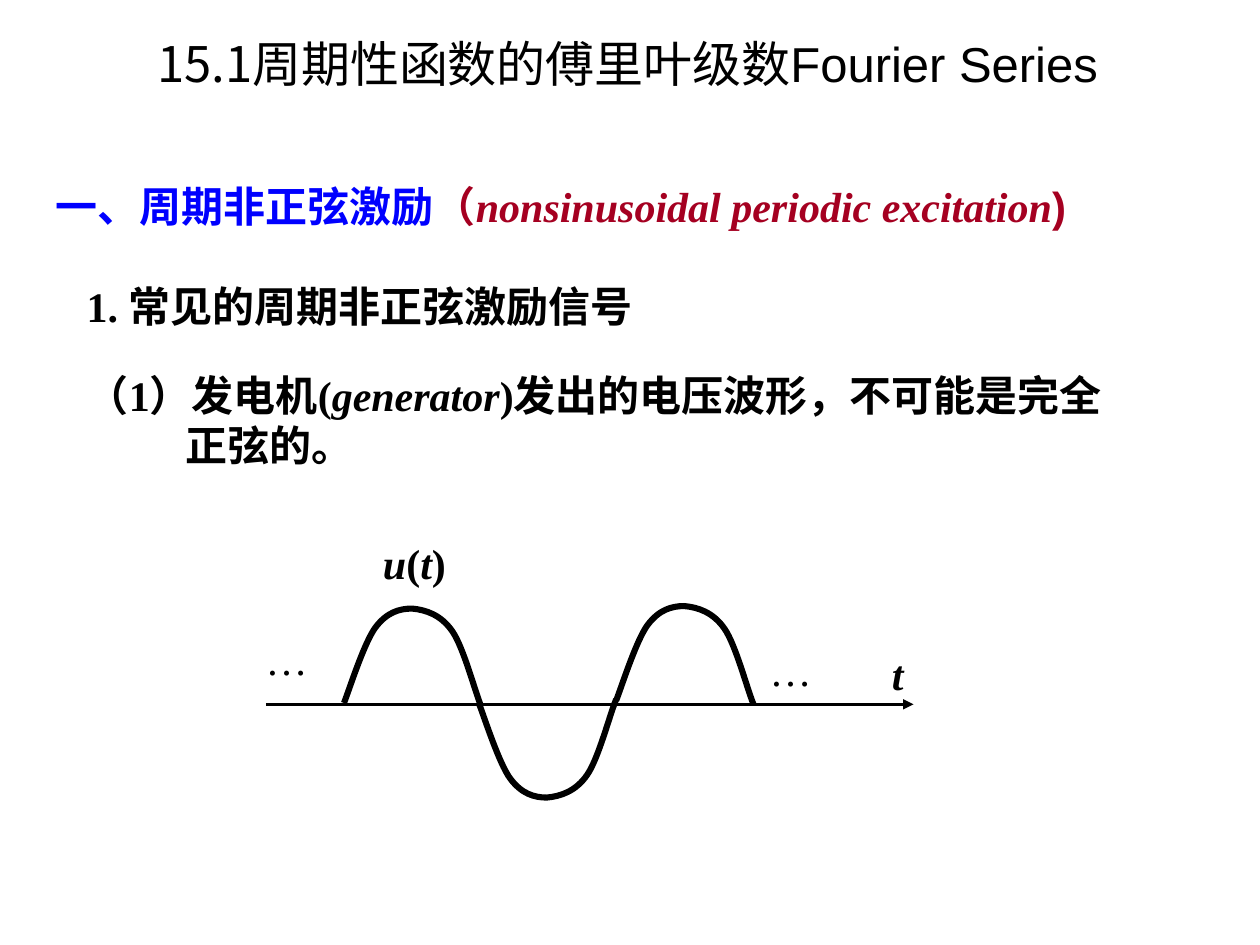
from dataclasses import dataclass

import pptx
import pptx.dml.color
import pptx.enum.shapes
import pptx.enum.text
import pptx.oxml
import pptx.oxml.ns
import pptx.util
from pptx.util import Inches

COLORS = {"black": "000000", "blue": "0000FF", "red": "A50021"}
SERIF = "Times New Roman"
SANS = "Arial"
CHINESE = "Noto Sans CJK SC"
ALIGN = pptx.enum.text.PP_ALIGN
ANCHOR = pptx.enum.text.MSO_ANCHOR
HALF_WAVE = [
    (0, 0), (0.04, 0.1), (0.16, 0.48), (0.25, 0.6),
    (0.34, 0.72), (0.44, 0.75), (0.54, 0.75),
    (0.65, 0.74), (0.77, 0.7), (0.86, 0.57),
    (0.95, 0.44), (1.04, 0.09), (1.09, -0.03),
]


@dataclass
class Run:
    text: str
    bold: bool = True
    italic: bool = False
    font: str = SERIF
    color: str = "black"
    size: float = 24


@dataclass
class Arc:
    left: float
    base: float
    direction: int


def color_of(name: str) -> pptx.dml.color.RGBColor:
    return pptx.dml.color.RGBColor.from_string(COLORS[name])


def new_element(tag: str, attributes: str = ""):
    return pptx.oxml.parse_xml(f'<a:{tag} {pptx.oxml.ns.nsdecls("a")} {attributes}/>')


def add_text(slide, runs: list[Run], left: float, top: float, width: float,
             height: float = 0.5, align=ALIGN.LEFT, anchor=ANCHOR.TOP,
             wrap: bool = True, hanging: float = 0, line_height: float | None = 28.8) -> None:
    shape = slide.shapes.add_textbox(Inches(left), Inches(top), Inches(width), Inches(height))
    frame = shape.text_frame
    frame.word_wrap = wrap
    frame.vertical_anchor = anchor
    paragraph = frame.paragraphs[0]
    paragraph.alignment = align
    if line_height:
        paragraph.line_spacing = pptx.util.Pt(line_height)
    if hanging:
        properties = paragraph._p.get_or_add_pPr()
        properties.set("marL", str(Inches(hanging)))
        properties.set("indent", str(-Inches(hanging)))
    for item in runs:
        run = paragraph.add_run()
        run.text = item.text
        font = run.font
        font.name = item.font
        font.size = pptx.util.Pt(item.size)
        font.bold = item.bold
        font.italic = item.italic
        font.color.rgb = color_of(item.color)
        run._r.get_or_add_rPr().append(new_element("ea", f'typeface="{CHINESE}"'))


def curve_segments(shape) -> None:
    segments = list(shape._element.iter(pptx.oxml.ns.qn("a:lnTo")))
    for start in range(0, len(segments), 3):
        curve = new_element("cubicBezTo")
        segments[start].addprevious(curve)
        for segment in segments[start:start + 3]:
            curve.append(segment[0])
            segment.getparent().remove(segment)


def add_arc(slide, arc: Arc) -> None:
    points = [
        (Inches(arc.left + x), Inches(arc.base - arc.direction * y))
        for x, y in HALF_WAVE
    ]
    builder = slide.shapes.build_freeform(*points[0])
    builder.add_line_segments(points[1:], close=False)
    shape = builder.convert_to_shape()
    curve_segments(shape)
    shape.shadow.inherit = False
    shape.fill.background()
    shape.line.color.rgb = color_of("black")
    shape.line.width = pptx.util.Pt(3.5)


def add_axis(slide, left: float, right: float, y: float) -> None:
    axis = slide.shapes.add_connector(
        pptx.enum.shapes.MSO_CONNECTOR.STRAIGHT,
        Inches(left), Inches(y), Inches(right), Inches(y),
    )
    axis.line.color.rgb = color_of("black")
    axis.line.width = pptx.util.Pt(1.5)
    axis.line._get_or_add_ln().append(new_element("tailEnd", 'type="triangle"'))
    axis._element.spPr.append(new_element("effectLst"))


def main() -> None:
    presentation = pptx.Presentation()
    presentation.slide_width = Inches(10)
    presentation.slide_height = Inches(7.5)
    slide = presentation.slides.add_slide(presentation.slide_layouts[6])

    add_text(slide, [
        Run(" ", bold=False),
        Run("一、周期非正弦激励", color="blue"),
        Run("（", font=SANS, color="red"),
        Run("nonsinusoidal periodic excitation", italic=True, color="red"),
        Run(")", font=SANS, color="red"),
    ], 0.27, 1.38, 9.23)
    add_text(slide, [Run("1. 常见的周期非正弦激励信号")], 0.59, 2.18, 5.14)
    add_text(slide, [
        Run("（1）发电机("),
        Run("generator", italic=True),
        Run(")发出的电压波形，不可能是完全正弦的。"),
    ], 0.59, 2.88, 8.39, 0.9, hanging=0.78)

    add_text(slide, [Run("t", italic=True)], 6.98, 5.1, 1.08)
    add_text(slide, [
        Run("u", italic=True), Run("("), Run("t", italic=True), Run(")"),
    ], 2.76, 4.22, 1.06, align=ALIGN.CENTER)
    for left, top in ((2.01, 4.98), (6.01, 5.07)):
        add_text(slide, [Run("…", bold=False)], left, top, 0.53, align=ALIGN.CENTER, wrap=False)
    for arc in (Arc(2.73, 5.58, 1), Arc(4.89, 5.56, 1), Arc(3.8, 5.58, -1)):
        add_arc(slide, arc)
    add_axis(slide, 2.11, 7.25, 5.59)

    add_text(slide, [
        Run("15.1周期性函数的傅里叶级数", bold=False, font=CHINESE, size=28),
        Run("Fourier Series", bold=False, font=SANS, size=28),
    ], 0.08, 0.21, 9.8, 0.58, align=ALIGN.CENTER, anchor=ANCHOR.MIDDLE, line_height=None)

    presentation.save("out.pptx")


if __name__ == "__main__":
    main()
